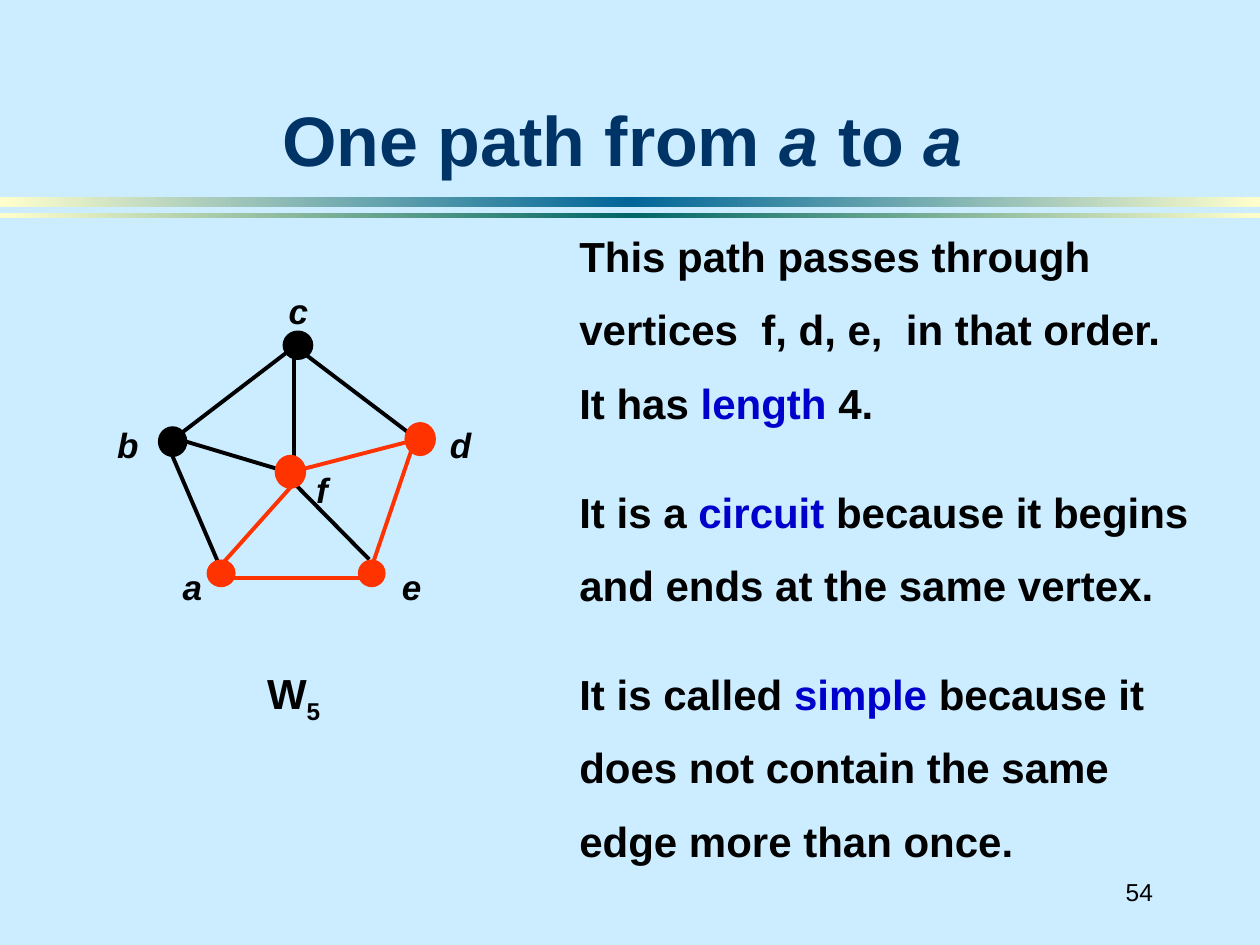
from copy import deepcopy
from dataclasses import dataclass

from lxml import etree
from pptx import Presentation
from pptx.dml.color import RGBColor
from pptx.enum.shapes import MSO_CONNECTOR, MSO_SHAPE
from pptx.enum.text import MSO_ANCHOR, MSO_AUTO_SIZE, PP_ALIGN
from pptx.oxml.ns import qn
from pptx.util import Inches, Pt

STRAIGHT = MSO_CONNECTOR.STRAIGHT
RECTANGLE, OVAL = MSO_SHAPE.RECTANGLE, MSO_SHAPE.OVAL
TOP, MIDDLE, BOTTOM = MSO_ANCHOR.TOP, MSO_ANCHOR.MIDDLE, MSO_ANCHOR.BOTTOM
LEFT, CENTER, RIGHT = PP_ALIGN.LEFT, PP_ALIGN.CENTER, PP_ALIGN.RIGHT
NO_AUTOFIT = MSO_AUTO_SIZE.NONE


@dataclass(frozen=True)
class Theme:
    """Colours, font and type sizes of the deck."""
    font: str = "Arial"
    background: str = "CCECFF"
    title: str = "003366"
    ink: str = "000000"
    term: str = "0000CC"
    route: str = "FF3300"
    band_edge: str = "FFFFCC"
    band_blue: str = "006699"
    band_green: str = "006666"
    title_size: int = 40
    body_size: int = 24
    label_size: int = 20
    number_size: int = 14


@dataclass(frozen=True)
class Box:
    """A rectangle in inches."""
    left: float
    top: float
    width: float
    height: float

    def inner(self, left, top, width, height):
        """Return a box placed relative to this one."""
        return Box(self.left + left, self.top + top, width, height)

    def emu(self):
        """Return left, top, width and height as lengths."""
        return [Inches(v) for v in (self.left, self.top, self.width, self.height)]


THEME = Theme()
EDGES = [
    ("route", (1.61, 1.51), (2.73, 1.22)),
    ("route", (1.02, 2.33), (1.69, 1.58)),
    ("route", (2.26, 2.34), (1.21, 2.34)),
    ("route", (2.30, 2.25), (2.64, 1.25)),
    ("ink", (0.65, 1.21), (1.11, 2.28)),
    ("ink", (1.77, 0.56), (2.64, 1.22)),
    ("ink", (0.76, 1.21), (1.74, 0.46)),
    ("ink", (0.71, 1.22), (1.68, 1.51)),
    ("ink", (1.61, 1.51), (2.28, 2.19)),
    ("ink", (1.68, 0.55), (1.68, 1.51)),
]
VERTICES = [
    ("a", "route", (0.99, 2.19, 0.23, 0.22), (0.62, 2.19)),
    ("b", "ink", (0.61, 1.14, 0.22, 0.23), (0.10, 1.06)),
    ("c", "ink", (1.60, 0.38, 0.23, 0.22), (1.46, 0)),
    ("d", "route", (2.56, 1.10, 0.25, 0.27), (2.74, 1.06)),
    ("e", "route", (2.19, 2.19, 0.22, 0.22), (2.36, 2.19)),
    ("f", "route", (1.53, 1.36, 0.25, 0.27), (1.68, 1.42)),
]
EXPLANATION = [
    ["This path passes through vertices  f, d, e,  in that order.  It has ",
     ("length", {"color": THEME.term}), " 4."],
    ["It is a ", ("circuit", {"color": THEME.term}),
     " because it begins and ends at the same vertex."],
    ["It is called ", ("simple", {"color": THEME.term}),
     " because it does not contain the same edge more than once."],
]


def rgb(value):
    """Turn a hex string into a colour."""
    return RGBColor.from_string(value)


def write_text(shape, paragraphs, *, size, color=THEME.ink, bold=True, italic=False,
               align=LEFT, anchor=TOP, spacing=None, gap=0, indent=0.1):
    """Fill a shape with paragraphs of spans, each a string or (string, changes)."""
    frame = shape.text_frame
    frame.word_wrap = True
    frame.auto_size = NO_AUTOFIT
    frame.vertical_anchor = anchor
    frame.margin_left, frame.margin_right = Inches(indent), Inches(0.1)
    frame.margin_top = frame.margin_bottom = Inches(0.05)
    for index, spans in enumerate(paragraphs):
        para = frame.add_paragraph() if index else frame.paragraphs[0]
        para.alignment = align
        para.space_before = Pt(gap if index else 0)
        if spacing:
            para.line_spacing = spacing
        for item in spans:
            text, changes = (item, {}) if isinstance(item, str) else item
            span = para.add_run()
            span.text = text
            span.font.name = THEME.font
            span.font.size = Pt(size)
            span.font.bold = bold
            span.font.italic = changes.get("italic", italic)
            span.font.color.rgb = rgb(changes.get("color", color))
            if "baseline" in changes:
                span._r.get_or_add_rPr().set("baseline", str(changes["baseline"]))


def add_text(page, box, paragraphs, **style):
    """Add a text box."""
    write_text(page.shapes.add_textbox(*box.emu()), paragraphs, **style)


def add_plain_shape(page, kind, box):
    """Add a preset shape with neither shadow nor outline."""
    shape = page.shapes.add_shape(kind, *box.emu())
    shape.shadow.inherit = False
    shape.line.fill.background()
    return shape


def add_band(page, box, middle):
    """Add a bar that fades from the middle colour to both ends."""
    fill = add_plain_shape(page, RECTANGLE, box).fill
    fill.gradient()
    fill.gradient_angle = 0
    stop_list = fill._xPr.find(qn("a:gradFill")).find(qn("a:gsLst"))
    stop_list.append(deepcopy(stop_list[0]))
    colors = (THEME.band_edge, middle, THEME.band_edge)
    for stop, position, color in zip(fill.gradient_stops, (0, 0.5, 1), colors):
        stop.position = position
        stop.color.rgb = rgb(color)


def add_bands(page, box):
    """Place the two bars under the title."""
    add_band(page, box.inner(0, 0, box.width, 0.08), THEME.band_blue)
    add_band(page, box.inner(0, 0.13, box.width, 0.04), THEME.band_green)


def add_title(page, box):
    """Move and format the title placeholder."""
    title = page.shapes.title
    title.left, title.top, title.width, title.height = box.emu()
    vertex = ("a", {"italic": True})
    write_text(title, [["One path from ", vertex, " to ", vertex]],
               size=THEME.title_size, color=THEME.title, align=CENTER, anchor=BOTTOM)


def add_edge(page, box, color, start, end):
    """Draw one edge of the graph."""
    ends = [Inches(v) for x, y in (start, end) for v in (box.left + x, box.top + y)]
    line = page.shapes.add_connector(STRAIGHT, *ends)
    line.line.color.rgb = rgb(color)
    line.line.width = Pt(2.25)
    etree.SubElement(line._element.spPr, qn("a:effectLst"))


def add_graph(page, box):
    """Draw the wheel graph with its vertex labels and name."""
    for role, start, end in EDGES:
        add_edge(page, box, getattr(THEME, role), start, end)
    for name, role, place, label in VERTICES:
        color = rgb(getattr(THEME, role))
        dot = add_plain_shape(page, OVAL, box.inner(*place))
        dot.fill.solid()
        dot.fill.fore_color.rgb = color
        if role == "ink":
            dot.line.color.rgb = color
            dot.line.width = Pt(1)
        add_text(page, box.inner(*label, 0.45, 0.44), [[name]],
                 size=THEME.label_size, italic=True, indent=0.18)
    add_text(page, box.inner(1.28, 3, 0.8, 0.56), [["W", ("5", {"baseline": -25000})]],
             size=THEME.body_size, indent=0.19)


def add_explanation(page, box):
    """Write the explanation beside the graph."""
    add_text(page, box, EXPLANATION, size=THEME.body_size, anchor=BOTTOM,
             spacing=1.46, gap=20)


def add_page_number(page, box):
    """Write the page number."""
    add_text(page, box, [["54"]], size=THEME.number_size, bold=False,
             align=RIGHT, anchor=MIDDLE)


def main():
    """Build the deck and save it."""
    deck = Presentation()
    deck.slide_width, deck.slide_height = Inches(10), Inches(7.5)
    page = deck.slides.add_slide(deck.slide_layouts[5])
    page.background.fill.solid()
    page.background.fill.fore_color.rgb = rgb(THEME.background)
    add_bands(page, Box(0, 1.56, 10, 0.17))
    add_title(page, Box(0.65, 0.23, 8.58, 1.25))
    add_graph(page, Box(0.65, 2.25, 3.2, 3.56))
    add_explanation(page, Box(4.5, 1.75, 5.17, 5.17))
    add_page_number(page, Box(8.58, 6.83, 0.67, 0.5))
    deck.save("out.pptx")


if __name__ == "__main__":
    main()
